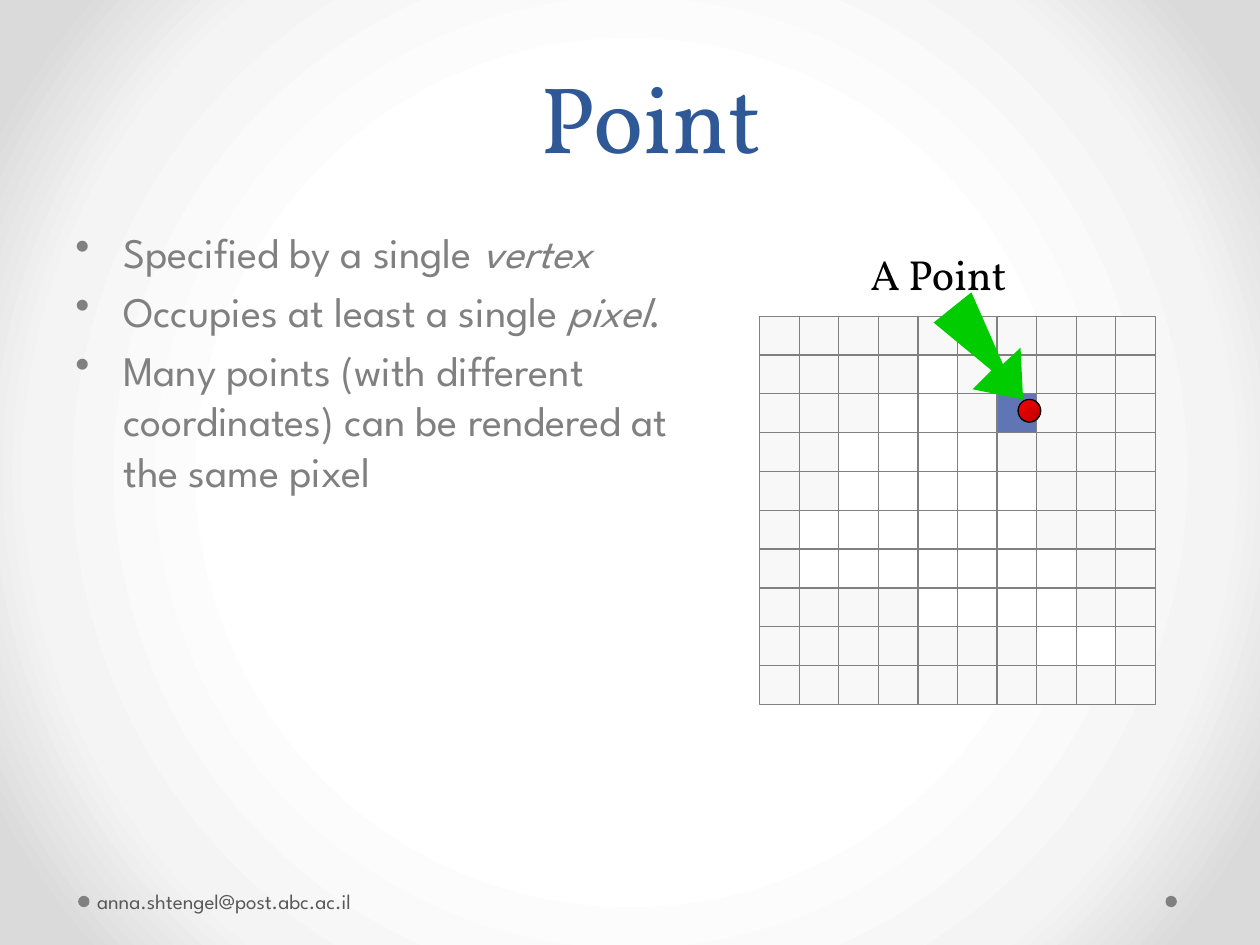
from itertools import product
from pptx import Presentation
from pptx.dml.color import RGBColor
from pptx.enum.shapes import MSO_SHAPE as Kind
from pptx.enum.text import MSO_ANCHOR as Anchor, PP_ALIGN as Align
from pptx.oxml import parse_xml
from pptx.oxml.ns import nsdecls, qn
from pptx.util import Inches, Pt

SERIF, SANS = "Vollkorn", "League Spartan"
GRAY = "808080"
LIT = [(), (4,), (3, 4), range(2, 6), range(2, 7),
       range(1, 7), range(1, 8), range(4, 8), (7, 8), ()]
SPOT = (2, 6)
ITEMS = [
    [("Specified by a single ", False), ("vertex", True)],
    [("Occupies at least a single ", False), ("pixel", True), (".", False)],
    [("Many points (with different coordinates) can be rendered "
      "at the same pixel", False)],
]
ARROW = [(7.41, 2.56), (7.87, 2.94), (7.72, 3.09), (8.12, 3.17),
         (8.1, 2.76), (7.96, 2.89), (7.71, 2.32)]


def color(code):
    return RGBColor.from_string(code)


def paint(shape, fill, line=None):
    shape.shadow.inherit = False
    shape.fill.solid()
    shape.fill.fore_color.rgb = color(fill)
    if line:
        shape.line.color.rgb = color(line)
        shape.line.width = Pt(0.75)
    else:
        shape.line.fill.background()


def add_shape(slide, kind, box, fill, line=None):
    shape = slide.shapes.add_shape(kind, *map(Inches, box))
    paint(shape, fill, line)
    return shape


def add_frame(slide, box, anchor=Anchor.TOP):
    frame = slide.shapes.add_textbox(*map(Inches, box)).text_frame
    frame.word_wrap = True
    frame.vertical_anchor = anchor
    return frame


def style(para, size, face, code):
    font = para.font
    font.size, font.name, font.color.rgb = Pt(size), face, color(code)


def add_back(slide):
    fill = slide.background.fill
    fill.gradient()
    old = slide._element.find(".//" + qn("a:gradFill"))
    stops = "".join(
        f'<a:gs pos="{pos}000"><a:srgbClr val="{code}"/></a:gs>'
        for pos, code in [(50, "FFFFFF"), (76, "F4F4F4"), (92, "DADADA")])
    new = parse_xml(
        f'<a:gradFill {nsdecls("a")} rotWithShape="1"><a:gsLst>{stops}</a:gsLst>'
        '<a:path path="circle"><a:fillToRect l="50000" t="50000" '
        'r="50000" b="50000"/></a:path></a:gradFill>')
    old.getparent().replace(old, new)


def add_title(slide, box):
    para = add_frame(slide, box, Anchor.BOTTOM).paragraphs[0]
    para.text = "Point"
    para.alignment = Align.CENTER
    para.line_spacing = Pt(58)
    style(para, 54, SERIF, "2F5897")


def add_list(slide, box):
    frame = add_frame(slide, box)
    for num, item in enumerate(ITEMS):
        para = frame.add_paragraph() if num else frame.paragraphs[0]
        para.space_before = Pt(4.8)
        style(para, 24, SANS, GRAY)
        for text, slant in item:
            run = para.add_run()
            run.text = text
            if slant:
                run.font.italic = True
        props = para._p.get_or_add_pPr()
        props.set("marL", str(Inches(0.38)))
        props.set("indent", str(-Inches(0.38)))
        mark = parse_xml(f'<a:buChar {nsdecls("a")} char="•"/>')
        props.insert_element_before(mark, "a:tabLst", "a:defRPr", "a:extLst")


def add_grid(slide, box):
    left, top, width, height = box
    wide, high = width / 10, height / 10
    for row, col in product(range(10), repeat=2):
        fill = "FFFFFF" if col in LIT[row] else "F8F8F8"
        if (row, col) == SPOT:
            fill = "6076B4"
        cell = (left + col * wide, top + row * high, wide, high)
        add_shape(slide, Kind.RECTANGLE, cell, fill, GRAY)


def add_dot(slide, box):
    dot = add_shape(slide, Kind.OVAL, box, "FF0000", "000000")
    dot.fill.gradient()
    dot.fill.gradient_angle = 315
    for stop, pos, code in zip(dot.fill.gradient_stops, (0, 1),
                               ("FF0000", "B60000")):
        stop.position = pos
        stop.color.rgb = color(code)


def add_arrow(slide):
    points = [(Inches(x), Inches(y)) for x, y in ARROW]
    pen = slide.shapes.build_freeform(*points[0])
    pen.add_line_segments(points[1:], close=True)
    paint(pen.convert_to_shape(), "00CC00")


def add_label(slide, box):
    para = add_frame(slide, box).paragraphs[0]
    para.text = "A Point"
    para.space_before = Pt(12)
    style(para, 24, SERIF, "000000")


def add_footer(slide, box):
    left, top, width, height = box
    for x in (9.25, 0.62):
        add_shape(slide, Kind.OVAL, (x, top + 0.16, 0.09, 0.09), GRAY)
    frame = add_frame(slide, box, Anchor.MIDDLE)
    frame.margin_left = Inches(0.05)
    para = frame.paragraphs[0]
    para.text = "anna.shtengel@post.abc.ac.il"
    style(para, 12, SANS, "595959")


def main():
    deck = Presentation()
    deck.slide_width, deck.slide_height = Inches(10), Inches(7.5)
    slide = deck.slides.add_slide(deck.slide_layouts[6])
    add_back(slide)
    add_grid(slide, (6.03, 2.51, 3.14, 3.08))
    add_title(slide, (0.67, 0.17, 9, 1.25))
    add_list(slide, (0.5, 1.75, 4.92, 4.95))
    add_dot(slide, (8.08, 3.17, 0.18, 0.18))
    add_arrow(slide)
    add_label(slide, (6.81, 1.92, 1.53, 0.5))
    add_footer(slide, (0.72, 6.95, 3.11, 0.4))
    deck.save("out.pptx")


if __name__ == "__main__":
    main()
